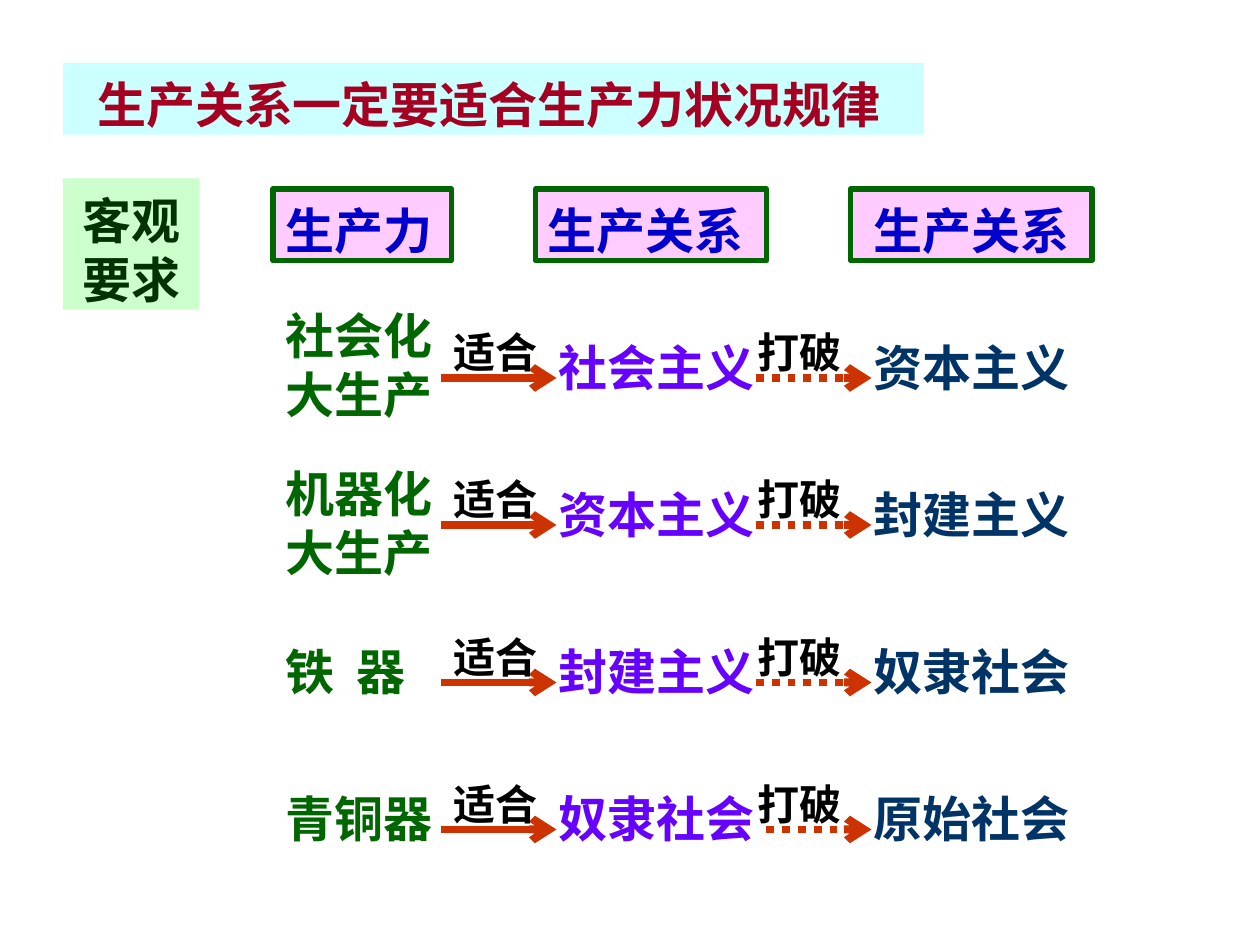
from pptx import Presentation
from pptx.dml.color import RGBColor
from pptx.enum.dml import MSO_LINE
from pptx.enum.shapes import MSO_CONNECTOR, MSO_SHAPE
from pptx.enum.text import MSO_ANCHOR, PP_ALIGN
from pptx.oxml.ns import qn
from pptx.util import Pt
from lxml import etree

LEFT, CENTER = PP_ALIGN.LEFT, PP_ALIGN.CENTER
TOP = MSO_ANCHOR.TOP
RECTANGLE = MSO_SHAPE.RECTANGLE
STRAIGHT = MSO_CONNECTOR.STRAIGHT
DOTTED = MSO_LINE.ROUND_DOT
SERIF = "Times New Roman"
SANS = "Noto Sans CJK SC"
TITLE_FONT = "Noto Sans CJK JP"

deck = Presentation()
deck.slide_width, deck.slide_height = Pt(720), Pt(540)
slide = deck.slides.add_slide(deck.slide_layouts[6])


def add_text(text, left, top, width, height, color, size=28, font=SERIF,
             fill=None, border=None, align=LEFT, indent=0, tab=None):
    place = Pt(left), Pt(top), Pt(width), Pt(height)
    if fill:
        box = slide.shapes.add_shape(RECTANGLE, *place)
        box.shadow.inherit = False
        box.fill.solid()
        box.fill.fore_color.rgb = RGBColor.from_string(fill)
        if border:
            box.line.color.rgb = RGBColor.from_string(border)
            box.line.width = Pt(3)
        else:
            box.line.fill.background()
    else:
        box = slide.shapes.add_textbox(*place)
    frame = box.text_frame
    frame.word_wrap = True
    frame.vertical_anchor = TOP
    frame.margin_left = frame.margin_right = Pt(7.2)
    frame.margin_top, frame.margin_bottom = Pt(6.8), Pt(0.4)
    para = frame.paragraphs[0]
    properties = para._p.get_or_add_pPr()
    if indent:
        properties.set("marL", str(Pt(indent)))
    if tab:
        stops = etree.SubElement(properties, qn("a:tabLst"))
        etree.SubElement(stops, qn("a:tab"), pos=str(Pt(tab)), algn="l")
    para.alignment = align
    para.line_spacing = Pt(size * 1.2)
    span = para.add_run()
    span.text = text
    span.font.size = Pt(size)
    span.font.bold = True
    span.font.color.rgb = RGBColor.from_string(color)
    span.font.name = font
    east_asian = SANS if font == SERIF else font
    etree.SubElement(span._r.get_or_add_rPr(), qn("a:ea"), typeface=east_asian)


def add_arrow(start, end, y, dash=None):
    arrow = slide.shapes.add_connector(STRAIGHT, Pt(start), Pt(y), Pt(end), Pt(y))
    arrow.line.color.rgb = RGBColor.from_string("CC3300")
    arrow.line.width = Pt(4.5)
    if dash:
        arrow.line.dash_style = dash
    etree.SubElement(arrow.line._get_or_add_ln(), qn("a:tailEnd"), type="arrow")
    etree.SubElement(arrow._element.spPr, qn("a:effectLst"))


add_text("生产关系一定要适合生产力状况规律", 36, 36, 492, 41, "A50021",
         font=TITLE_FONT, fill="CCFFFF", indent=12.5)
add_text("客观要求", 36, 102, 78, 75, "003300", font=SANS, fill="CCFFCC", align=CENTER)

headers = [
    ("生产力", 156, 102, LEFT),
    ("生产关系", 306, 132, LEFT),
    ("生产关系", 486, 138, CENTER),
]
for text, left, width, align in headers:
    add_text(text, left, 108, width, 41, "0000CC",
             fill="FFCCFF", border="006600", align=align)

rows = [
    (216, 168, 75, "社会化大生产", "社会主义", "资本主义", 432),
    (300, 258, 75, "机器化大生产", "资本主义", "封建主义", 432),
    (390, 360, 41, "铁\t器", "封建主义", "奴隶社会", 432),
    (474, 444, 41, "青铜器", "奴隶社会", "原始社会", 438),
]
for y, force_top, force_height, force, suited, broken, dotted_start in rows:
    tab = 40.5 if "\t" in force else None
    add_text(force, 156, force_top, 114, force_height, "006600",
             font=SANS if tab else SERIF, tab=tab)
    add_text(suited, 312, y - 30, 132, 41, "6600FF")
    add_text(broken, 492, y - 30, 132, 41, "003366")
    add_arrow(252, 318, y)
    add_arrow(dotted_start, 498, y, DOTTED)
    for label, left in (("适合", 252), ("打破", 426)):
        add_text(label, left, y - 36, 66, 36, "000000", size=24)

deck.save("out.pptx")
